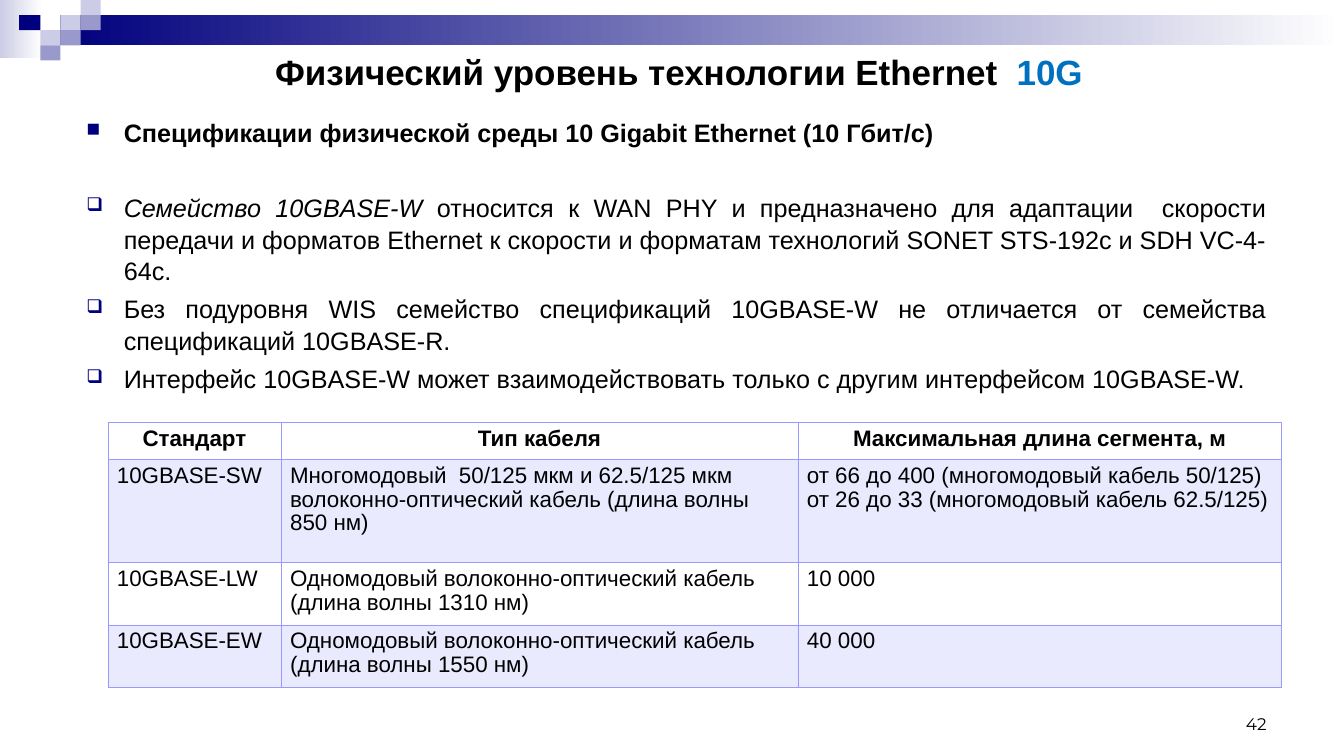
from dataclasses import dataclass

import pptx
import pptx.dml.color
import pptx.enum.shapes
import pptx.enum.text
import pptx.oxml
import pptx.oxml.ns
import pptx.util

Inches = pptx.util.Inches
Pt = pptx.util.Pt
Align = pptx.enum.text.PP_ALIGN
Anchor = pptx.enum.text.MSO_ANCHOR


@dataclass(frozen=True)
class Theme:
    font: str = "Arial"
    number_font: str = "Montserrat"
    ink: str = "000000"
    accent: str = "0070C0"
    navy: str = "00007D"
    lilac: str = "9999CC"
    pale: str = "CCCCE6"
    white: str = "FFFFFF"
    grid: str = "9999FF"
    title_size: float = 25
    body_size: float = 18
    table_size: float = 16
    number_size: float = 12


THEME = Theme()

# Left, top, width, height, colour
TILES = [
    (0.6, 0.15, 0.2, 0.15, THEME.pale),
    (0.8, 0, 0.2, 0.15, THEME.pale),
    (0.8, 0.15, 0.2, 0.15, THEME.lilac),
    (0.4, 0.3, 0.2, 0.15, THEME.pale),
    (0.19, 0.15, 0.21, 0.15, THEME.navy),
    (0.6, 0.3, 0.2, 0.15, THEME.lilac),
    (0.4, 0.45, 0.2, 0.15, THEME.lilac),
]

# Bullet sign, space before, runs of (text, bold, italic)
BODY = [
    ("■", 0, [("Спецификации физической среды 10 Gigabit Ethernet (10 Гбит/с)", True, False)]),
    ("❑", 30.7, [
        ("Семейство 10GBASE-W ", False, True),
        ("относится к WAN PHY и предназначено для адаптации  скорости передачи и форматов "
         "Ethernet к скорости и форматам технологий SONET STS-192c и SDH VC-4-64c.", False, False),
    ]),
    ("❑", 4.5, [("Без подуровня WIS семейство спецификаций 10GBASE-W не отличается "
                 "от семейства спецификаций 10GBASE-R.", False, False)]),
    ("❑", 4.5, [("Интерфейс 10GBASE-W может взаимодействовать только с другим "
                 "интерфейсом 10GBASE-W.", False, False)]),
]

COLUMN_WIDTHS = [1.72, 5.13, 4.8]
ROW_HEIGHTS = [0.37, 1.02, 0.62, 0.62]
# Each cell is a list of paragraphs
ROWS = [
    [["Стандарт"], ["Тип кабеля"], ["Максимальная длина сегмента, м"]],
    [["10GBASE-SW"],
     ["Многомодовый  50/125 мкм и 62.5/125 мкм волоконно-оптический кабель (длина волны 850 нм)"],
     ["от 66 до 400 (многомодовый кабель 50/125)", "от 26 до 33 (многомодовый кабель 62.5/125)"]],
    [["10GBASE-LW"], ["Одномодовый волоконно-оптический кабель (длина волны 1310 нм)"], ["10 000"]],
    [["10GBASE-EW"], ["Одномодовый волоконно-оптический кабель (длина волны 1550 нм)"], ["40 000"]],
]


def rgb(colour):
    return pptx.dml.color.RGBColor.from_string(colour)


def drawing_xml(tag, content):
    return pptx.oxml.parse_xml(f'<a:{tag} {pptx.oxml.ns.nsdecls("a")} {content}</a:{tag}>')


def add_run(paragraph, text, size, colour=THEME.ink, bold=False, italic=False, font=THEME.font):
    run = paragraph.add_run()
    run.text = text
    run.font.name = font
    run.font.size = Pt(size)
    run.font.bold = bold
    run.font.italic = italic
    run.font.color.rgb = rgb(colour)


def add_block(slide, left, top, width, height, start, end=None):
    """A plain rectangle, or one that fades from left to right."""
    shape = slide.shapes.add_shape(pptx.enum.shapes.MSO_SHAPE.RECTANGLE,
                                   Inches(left), Inches(top), Inches(width), Inches(height))
    shape.shadow.inherit = False
    shape.line.fill.background()
    if end is None:
        shape.fill.solid()
        shape.fill.fore_color.rgb = rgb(start)
    else:
        shape.fill.gradient()
        shape.fill.gradient_angle = 0
        for stop, colour in zip(shape.fill.gradient_stops, (start, end)):
            stop.color.rgb = rgb(colour)


def add_text_box(slide, left, top, width, height, anchor):
    box = slide.shapes.add_textbox(Inches(left), Inches(top), Inches(width), Inches(height))
    frame = box.text_frame
    frame.word_wrap = True
    frame.vertical_anchor = anchor
    return frame


def next_paragraph(frame, index):
    return frame.add_paragraph() if index else frame.paragraphs[0]


def set_bullet(paragraph, sign):
    properties = paragraph._p.get_or_add_pPr()
    properties.set("marL", str(Inches(0.37)))
    properties.set("indent", str(-Inches(0.37)))
    properties.append(drawing_xml("buClr", f'><a:srgbClr val="{THEME.navy}"/>'))
    properties.append(drawing_xml("buSzPct", 'val="75000">'))
    properties.append(drawing_xml("buChar", f'char="{sign}">'))


def set_title(slide):
    title = slide.shapes.title
    title.left, title.top = Inches(2.63), Inches(0.43)
    title.width, title.height = Inches(8.54), Inches(0.56)
    frame = title.text_frame
    frame.auto_size = pptx.enum.text.MSO_AUTO_SIZE.NONE
    frame.vertical_anchor = Anchor.MIDDLE
    paragraph = frame.paragraphs[0]
    paragraph.alignment = Align.LEFT
    add_run(paragraph, "Физический уровень технологии Ethernet  ", THEME.title_size, bold=True)
    add_run(paragraph, "10G", THEME.title_size, THEME.accent, bold=True)


def add_body(slide):
    frame = add_text_box(slide, 0.76, 1.1, 11.91, 3.11, Anchor.TOP)
    for index, (sign, space, runs) in enumerate(BODY):
        paragraph = next_paragraph(frame, index)
        set_bullet(paragraph, sign)
        paragraph.alignment = Align.JUSTIFY
        paragraph.line_spacing = 1.05
        paragraph.space_before = Pt(space)
        for text, bold, italic in runs:
            add_run(paragraph, text, THEME.body_size, bold=bold, italic=italic)


def style_cell(cell, shaded):
    cell.margin_left = cell.margin_right = Inches(0.09)
    cell.margin_top = cell.margin_bottom = Inches(0.05)
    properties = cell._tc.get_or_add_tcPr()
    if shaded:
        cell.fill.solid()
        cell.fill.fore_color.rgb = rgb(THEME.grid)
        colour = properties.find(".//" + pptx.oxml.ns.qn("a:srgbClr"))
        colour.append(drawing_xml("alpha", 'val="20000">'))
    else:
        cell.fill.background()
    # Borders come before the fill
    for position, side in enumerate("LRTB"):
        line = f'w="{Pt(0.45)}"><a:solidFill><a:srgbClr val="{THEME.grid}"/></a:solidFill>'
        properties.insert(position, drawing_xml(f"ln{side}", line))


def add_standards_table(slide):
    table = slide.shapes.add_table(
        len(ROWS), len(COLUMN_WIDTHS), Inches(1.07), Inches(4.19),
        Inches(sum(COLUMN_WIDTHS)), Inches(sum(ROW_HEIGHTS))).table
    table.horz_banding = False
    for column, width in zip(table.columns, COLUMN_WIDTHS):
        column.width = Inches(width)
    for row_index, (row, height, texts) in enumerate(zip(table.rows, ROW_HEIGHTS, ROWS)):
        row.height = Inches(height)
        is_header = row_index == 0
        for cell, lines in zip(row.cells, texts):
            style_cell(cell, shaded=row_index % 2 == 1)
            for index, text in enumerate(lines):
                paragraph = next_paragraph(cell.text_frame, index)
                paragraph.alignment = Align.CENTER if is_header else Align.LEFT
                paragraph.line_spacing = 0.95
                add_run(paragraph, text, THEME.table_size, bold=is_header)


def add_page_number(slide):
    frame = add_text_box(slide, 9.56, 6.83, 3.11, 0.5, Anchor.BOTTOM)
    frame.paragraphs[0].alignment = Align.RIGHT
    add_run(frame.paragraphs[0], "42", THEME.number_size, font=THEME.number_font)


def main():
    presentation = pptx.Presentation()
    presentation.slide_width, presentation.slide_height = Inches(13.34), Inches(7.5)
    slide = presentation.slides.add_slide(presentation.slide_layouts[5])

    # Header band with its mosaic
    add_block(slide, 0, 0, 0.42, 0.58, THEME.pale, THEME.white)
    add_block(slide, 0.6, 0.15, 12.73, 0.3, THEME.navy, THEME.white)
    for tile in TILES:
        add_block(slide, *tile)

    # Content
    set_title(slide)
    add_body(slide)
    add_standards_table(slide)
    add_page_number(slide)
    presentation.save("out.pptx")


if __name__ == "__main__":
    main()
